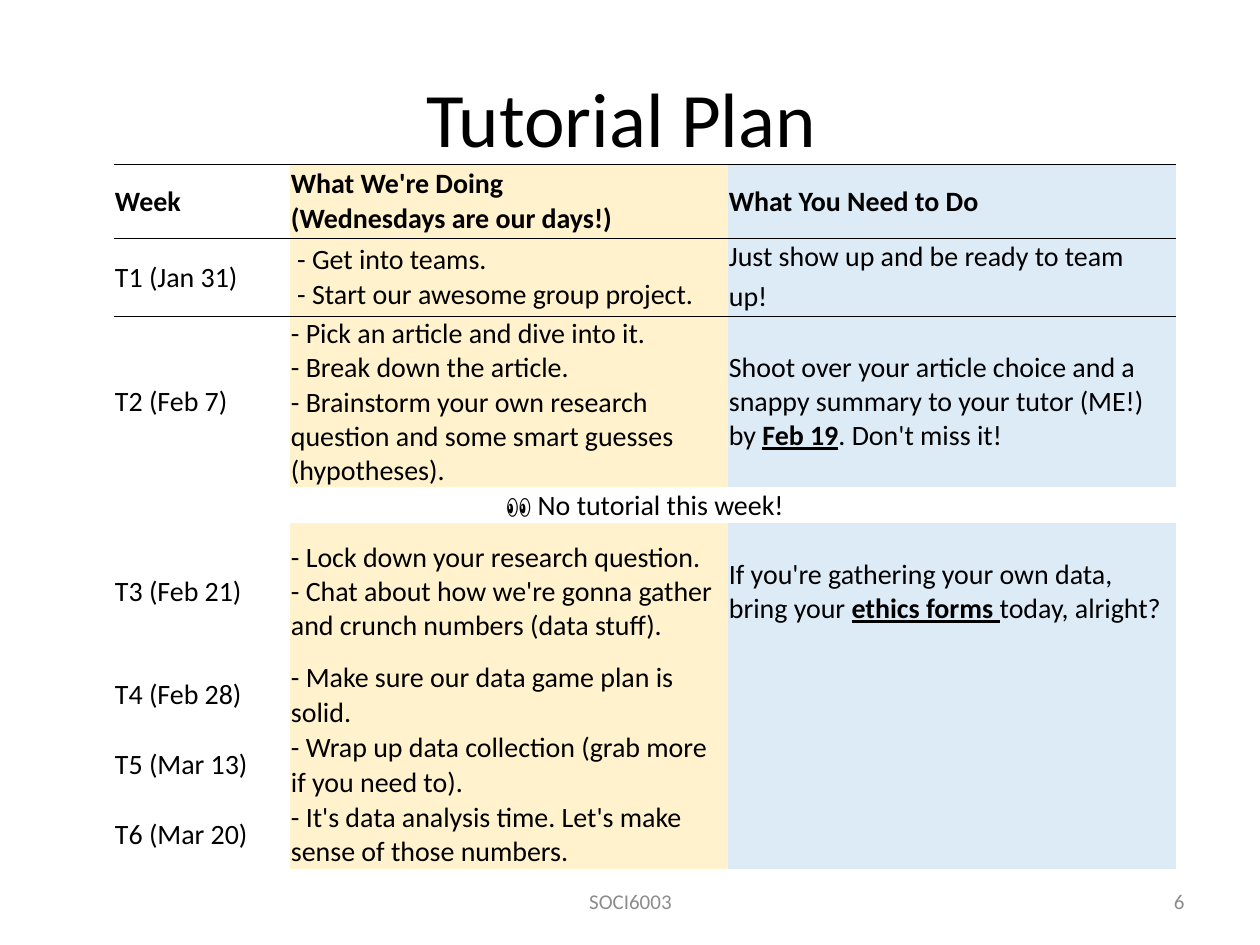
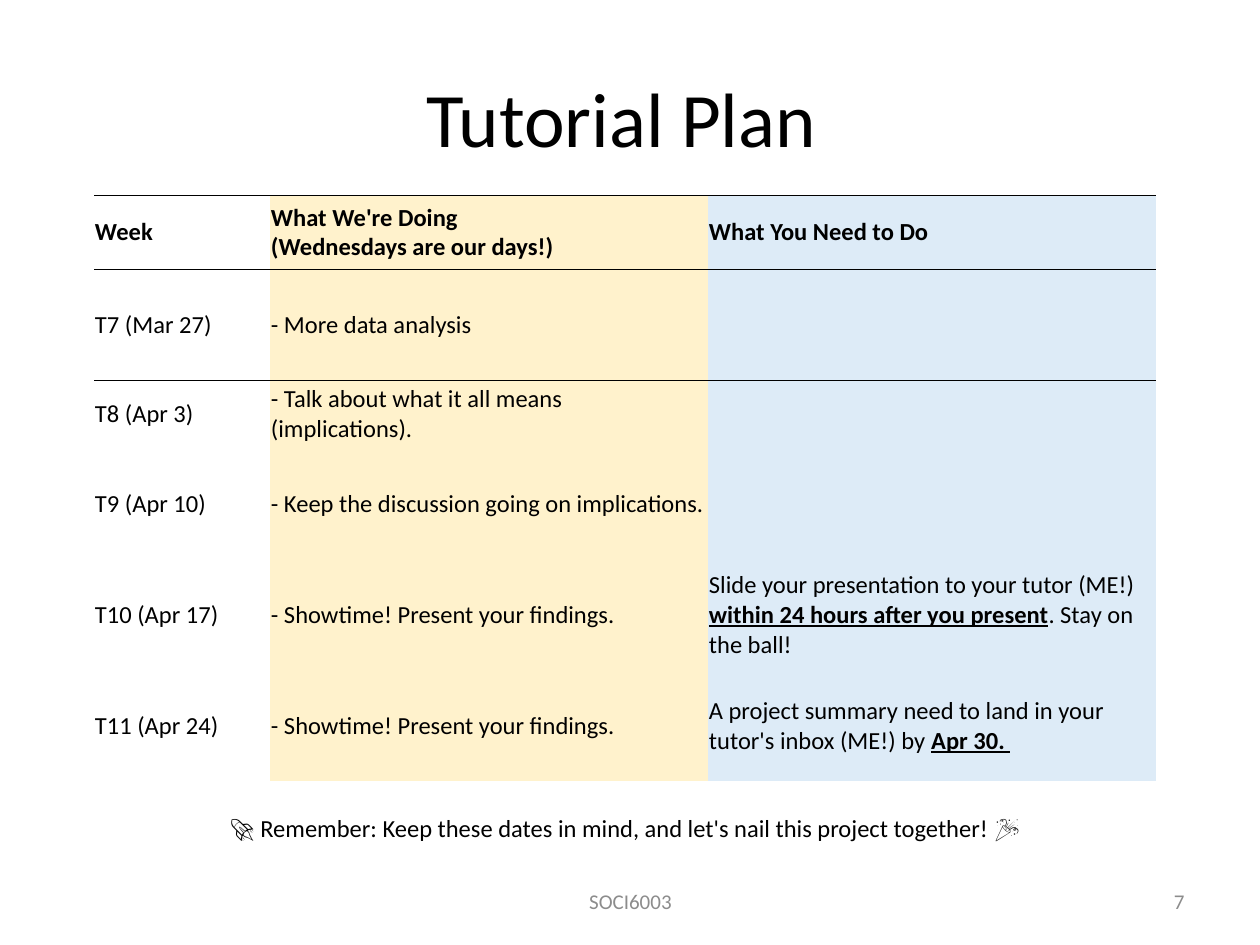
from lxml import etree
from pptx import Presentation
from pptx.dml.color import RGBColor
from pptx.enum.text import MSO_ANCHOR, PP_ALIGN
from pptx.oxml.ns import qn
from pptx.util import Emu, Pt

CENTER, RIGHT, LEFT = PP_ALIGN.CENTER, PP_ALIGN.RIGHT, PP_ALIGN.LEFT
MIDDLE = MSO_ANCHOR.MIDDLE

PX_PER_INCH = 126
FONT = "Calibri"
BLACK, GREY = "000000", "8C8C8C"
COLUMN_FILLS = (None, "FFF2CC", "DDEBF7")
COLUMN_WIDTHS = (176, 438, 448)
NO_GRID_STYLE = "{2D5ABB26-0587-4C30-8999-92F81FD0307C}"

# A row is (height, texts); one text alone spans all columns.
# A tuple of texts gives paragraphs, and ** marks bold underlined words.
HEADER = (74, ("Week", "What We're Doing \n(Wednesdays are our days!)",
               "What You Need to Do"))
FIRST_WEEKS = [
    HEADER,
    (78, ("T1 (Jan 31)",
          " - Get into teams. \n - Start our awesome group project.",
          "Just show up and be ready to team up!　")),
    (171, ("T2 (Feb 7)",
           ("- Pick an article and dive into it.",
            "- Break down the article.\n- Brainstorm your own research "
            "question and some smart guesses (hypotheses)."),
           "Shoot over your article choice and a snappy summary to your "
           "tutor (ME!) by **Feb 19**. Don't miss it!")),
    (36, ("👀 No tutorial this week!",)),
    (137, ("T3 (Feb 21)",
           "- Lock down your research question. \n- Chat about how we're "
           "gonna gather and crunch numbers (data stuff).",
           "If you're gathering your own data, bring your "
           "**ethics forms **today, alright?")),
    (70, ("T4 (Feb 28)", "- Make sure our data game plan is solid.", "")),
    (70, ("T5 (Mar 13)",
          "- Wrap up data collection (grab more if you need to).", "")),
    (69, ("T6 (Mar 20)",
          "- It's data analysis time. Let's make sense of those numbers.",
          "")),
]
LAST_WEEKS = [
    HEADER,
    (111, ("T7 (Mar 27)", "- More data analysis", "")),
    (68, ("T8 (Apr 3)", "- Talk about what it all means (implications).", "")),
    (111, ("T9 (Apr 10)", "- Keep the discussion going on implications.", "")),
    (111, ("T10 (Apr 17)", "- Showtime! Present your findings.",
           "Slide your presentation to your tutor (ME!) "
           "**within 24 hours after you present**. Stay on the ball!")),
    (111, ("T11 (Apr 24)", "- Showtime! Present your findings.",
           "A project summary need to land in your tutor's inbox (ME!) by "
           "**Apr 30. **")),
    (95, ("🚀 Remember: Keep these dates in mind, and let's nail this "
          "project together! 🎉",)),
]


def px(n):
    return Emu(round(n * 914400 / PX_PER_INCH))


def rgb(color):
    return RGBColor.from_string(color)


def set_attrs(obj, values):
    for name, value in values.items():
        setattr(obj, name, value)


def write_paragraph(p, text, size, color=BLACK, align=LEFT, bold=False):
    p.alignment = align
    p.font.size = Pt(size)
    for i, part in enumerate(text.split("**")):
        marked = i % 2 == 1
        for j, line in enumerate(part.split("\n")):
            if j:
                p.add_line_break()
            if line:
                r = p.add_run()
                r.text = line
                set_attrs(r.font, {"name": FONT, "size": Pt(size),
                                   "bold": bold or marked,
                                   "underline": marked})
                r.font.color.rgb = rgb(color)
    for br in p._p.findall(qn("a:br")):
        etree.SubElement(br, qn("a:rPr"), sz=str(size * 100))


def add_text(slide, box, text, size, color, align):
    tf = slide.shapes.add_textbox(*map(px, box)).text_frame
    set_attrs(tf, {"word_wrap": True, "vertical_anchor": MIDDLE})
    write_paragraph(tf.paragraphs[0], text, size, color, align)


def add_border(cell, side):
    """Draw a thin line on a side, lnT or lnB; call before the fill is set."""
    ln = etree.SubElement(cell._tc.get_or_add_tcPr(), qn("a:" + side),
                          w=str(Pt(0.5)))
    fill = etree.SubElement(ln, qn("a:solidFill"))
    etree.SubElement(fill, qn("a:srgbClr"), val=BLACK)


def fill_cell(cell, text, size, fill, borders, align, bold):
    set_attrs(cell, {"vertical_anchor": MIDDLE, "margin_left": px(1),
                     "margin_right": px(1), "margin_top": px(1),
                     "margin_bottom": 0})
    for side in borders:
        add_border(cell, side)
    if fill:
        cell.fill.solid()
        cell.fill.fore_color.rgb = rgb(fill)
    else:
        cell.fill.background()
    tf = cell.text_frame
    for i, line in enumerate((text,) if isinstance(text, str) else text):
        p = tf.add_paragraph() if i else tf.paragraphs[0]
        write_paragraph(p, line, size, align=align, bold=bold)


def add_plan(slide, left, top, rows, size):
    columns = len(COLUMN_WIDTHS)
    height = sum(row_height for row_height, _ in rows)
    frame = slide.shapes.add_table(len(rows), columns, px(left), px(top),
                                   px(sum(COLUMN_WIDTHS)), px(height))
    table = frame.table
    set_attrs(table, {"first_row": False, "horz_banding": False})
    table._tbl.tblPr.find(qn("a:tableStyleId")).text = NO_GRID_STYLE
    for column, width in zip(table.columns, COLUMN_WIDTHS):
        column.width = px(width)
    for i, (row_height, texts) in enumerate(rows):
        table.rows[i].height = px(row_height)
        spans = len(texts) == 1
        if spans:
            table.cell(i, 0).merge(table.cell(i, columns - 1))
        borders = {0: ("lnT", "lnB"), 1: ("lnT",)}.get(i, ())
        for j, text in enumerate(texts):
            fill_cell(table.cell(i, j), text, size, COLUMN_FILLS[j], borders,
                      CENTER if spans else LEFT, bold=i == 0)


def add_plan_slide(prs, number, left, top, rows, size):
    slide = prs.slides.add_slide(prs.slide_layouts[6])
    add_text(slide, (63, 38, 1134, 158), "Tutorial Plan ", 44, BLACK, CENTER)
    add_text(slide, (431, 876, 399, 50), "SOCI6003", 12, GREY, CENTER)
    add_text(slide, (903, 876, 294, 50), str(number), 12, GREY, RIGHT)
    add_plan(slide, left, top, rows, size)


def main():
    prs = Presentation()
    set_attrs(prs, {"slide_width": px(1260), "slide_height": px(945)})
    add_plan_slide(prs, 6, 114, 164, FIRST_WEEKS, 16)
    add_plan_slide(prs, 7, 94, 195, LAST_WEEKS, 14)
    prs.save("out.pptx")


if __name__ == "__main__":
    main()
